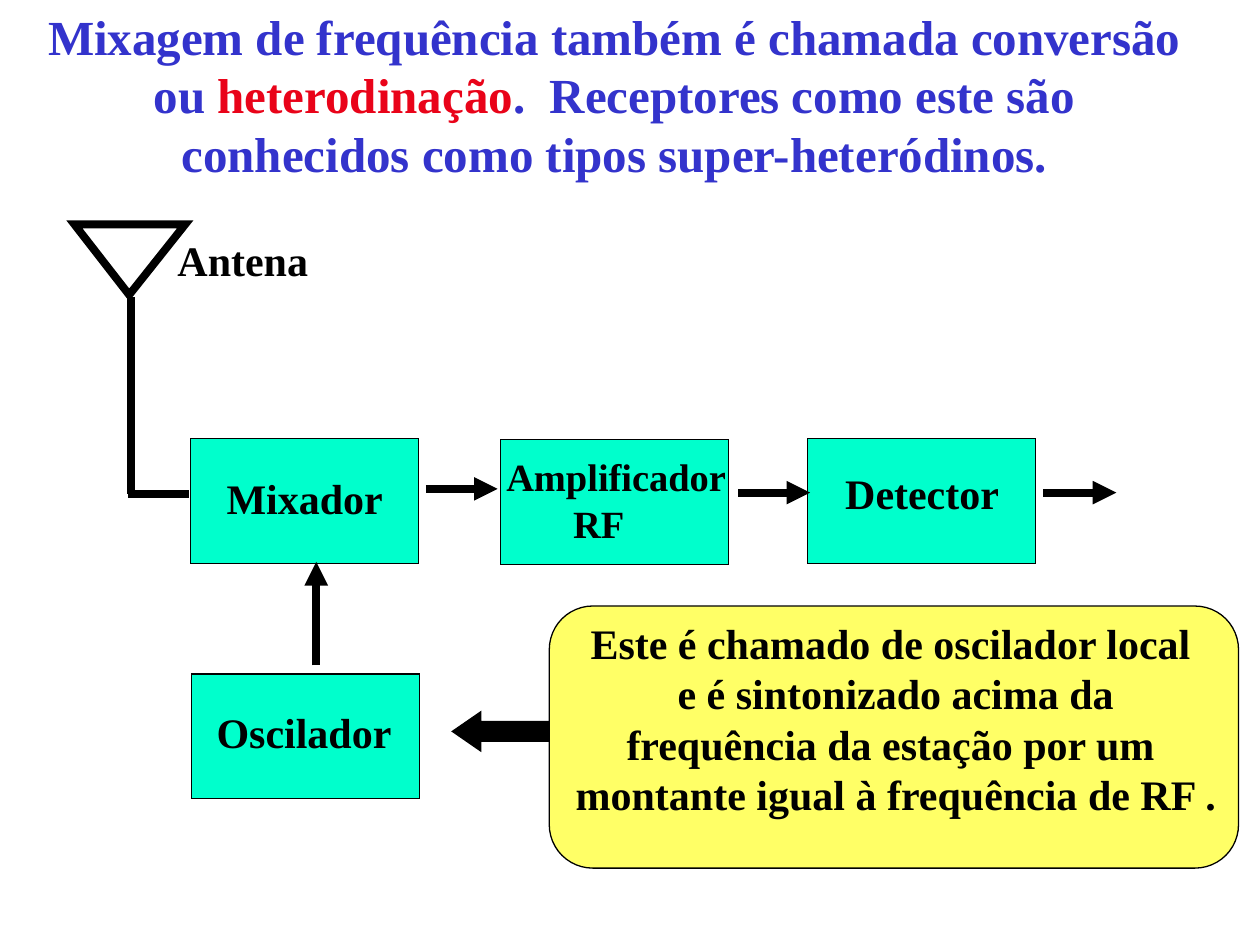
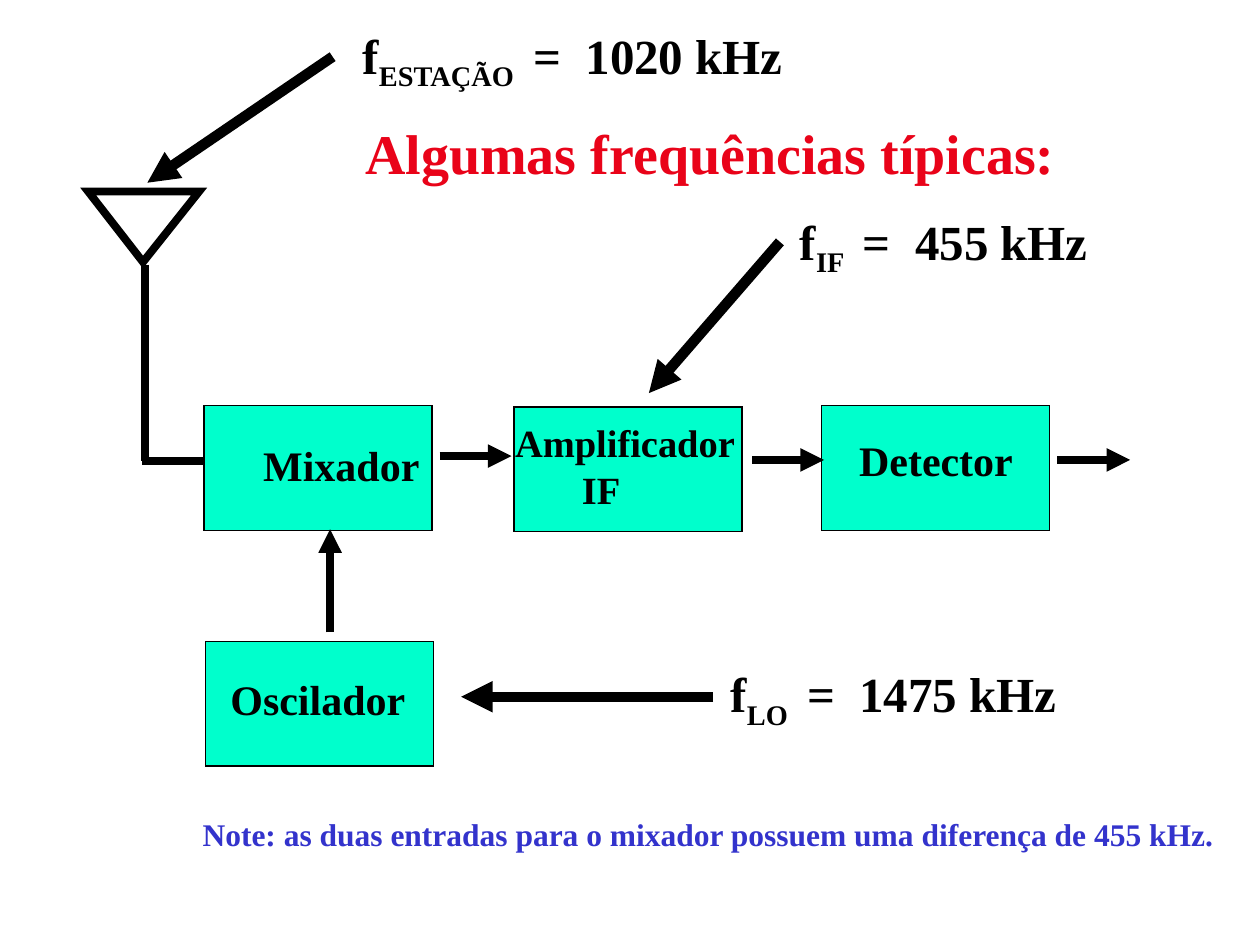
from typing import NamedTuple

import pptx
import pptx.dml.color
import pptx.enum.shapes
import pptx.enum.text
import pptx.oxml
import pptx.oxml.ns
import pptx.util

RGBColor = pptx.dml.color.RGBColor
SHAPE = pptx.enum.shapes.MSO_SHAPE
ALIGN = pptx.enum.text.PP_ALIGN

# Shared style
BLACK = RGBColor(0x00, 0x00, 0x00)
BLUE = RGBColor(0x33, 0x33, 0xCC)
RED = RGBColor(0xE9, 0x03, 0x19)
AQUA = RGBColor(0x00, 0xFF, 0xCC)
YELLOW = RGBColor(0xFF, 0xFF, 0x66)
FONT = "Times New Roman"
EMU_PER_PX = 9144  # 100 px to the inch
BLOCK_W, BLOCK_H = 181, 99
THIN, THICK, HEAVY = 0.75, 4.5, 6


class Run(NamedTuple):
    text: str
    color: RGBColor = BLACK
    sub: bool = False


class Label(NamedTuple):
    x: int
    y: int
    w: int
    h: int
    lines: list[list[Run]]
    size: int = 24
    align: ALIGN = ALIGN.LEFT
    indents: tuple[int, ...] = ()


class Line(NamedTuple):
    x1: int
    y1: int
    x2: int
    y2: int
    arrow: bool = True
    width: float = THICK


class Stage(NamedTuple):
    """Layout of the receiver diagram on one slide."""
    dx: int
    dy: int
    mixer_x: int
    amp_x: int
    amp_y: int
    amp_kind: str


# Receiver parts, before the stage offset
BLOCKS = [(397, 349), (151, 348), (152, 535), (641, 348)]
WIRES = [
    Line(104, 236, 104, 392, arrow=False),
    Line(102, 392, 150, 392, arrow=False),
    Line(251, 528, 251, 446),
    Line(338, 388, 395, 388),
    Line(828, 391, 886, 391),
    Line(586, 391, 643, 391),
]


def px(n: int) -> int:
    return n * EMU_PER_PX


def add_child(parent, tag: str, **attrs: str) -> None:
    parent.append(parent.makeelement(pptx.oxml.ns.qn(tag), attrs))


def add_label(s, label: Label) -> None:
    box = s.shapes.add_textbox(*map(px, label[:4]))
    tf = box.text_frame
    tf.word_wrap = False
    tf.auto_size = pptx.enum.text.MSO_AUTO_SIZE.SHAPE_TO_FIT_TEXT
    for i, runs in enumerate(label.lines):
        p = tf.paragraphs[0] if i == 0 else tf.add_paragraph()
        p.alignment = label.align
        if i < len(label.indents):
            p._p.get_or_add_pPr().set("marL", str(px(label.indents[i])))
        for run in runs:
            r = p.add_run()
            r.text = run.text
            r.font.name = FONT
            r.font.size = pptx.util.Pt(label.size)
            r.font.bold = True
            r.font.color.rgb = run.color
            if run.sub:
                r._r.get_or_add_rPr().set("baseline", "-25000")


def add_block(s, kind: SHAPE, x: int, y: int, w: int, h: int,
              fill: RGBColor | None = AQUA, width: float = THIN,
              adj: tuple[float, ...] = ()):
    sp = s.shapes.add_shape(kind, px(x), px(y), px(w), px(h))
    sp.shadow.inherit = False
    for i, value in enumerate(adj):
        sp.adjustments[i] = value
    if fill is None:
        sp.fill.background()
    else:
        sp.fill.solid()
        sp.fill.fore_color.rgb = fill
    sp.line.color.rgb = BLACK
    sp.line.width = pptx.util.Pt(width)
    add_child(sp.line._get_or_add_ln(), "a:miter", lim="800000")
    return sp


def add_line(s, line: Line, dx: int = 0, dy: int = 0) -> None:
    cx = s.shapes.add_connector(
        pptx.enum.shapes.MSO_CONNECTOR.STRAIGHT,
        px(line.x1 + dx), px(line.y1 + dy), px(line.x2 + dx), px(line.y2 + dy))
    cx.line.color.rgb = BLACK
    cx.line.width = pptx.util.Pt(line.width)
    if line.arrow:
        add_child(cx.line._get_or_add_ln(), "a:tailEnd", type="triangle")
    add_child(cx._element.spPr, "a:effectLst")


def add_receiver(s, st: Stage) -> None:
    dx, dy = st.dx, st.dy
    for x, y in BLOCKS:
        add_block(s, SHAPE.RECTANGLE, x + dx, y + dy, BLOCK_W, BLOCK_H)

    # Antenna points down
    antenna = add_block(s, SHAPE.ISOSCELES_TRIANGLE, 59 + dx, 178 + dy, 88, 56,
                        fill=None, width=THICK, adj=(0.506,))
    antenna.rotation = 180
    for wire in WIRES:
        add_line(s, wire, dx, dy)

    # Block names, in boxes slightly wider than their text
    add_label(s, Label(st.amp_x, st.amp_y, 200, 84,
                       [[Run("Amplificador")], [Run(st.amp_kind)]],
                       size=22, indents=(0, 53)))
    for text, x, y, w in [("Oscilador", 162 + dx, 556, 162),
                          ("Mixador", st.mixer_x, 370, 148),
                          ("Detector", 661 + dx, 366, 146)]:
        add_label(s, Label(x, y + dy, w, 50, [[Run(text)]]))


def build_mixing(s) -> None:
    add_label(s, Label(28, 0, 919, 150, [
        [Run("Mixagem de frequência também é chamada conversão", BLUE)],
        [Run("ou ", BLUE), Run("heterodinação", RED),
         Run(".  Receptores como este são", BLUE)],
        [Run("conhecidos como tipos super-heteródinos.", BLUE)],
    ], size=28, align=ALIGN.CENTER))
    add_receiver(s, Stage(0, 0, 170, 392, 355, "RF"))
    add_label(s, Label(131, 181, 128, 50, [[Run("Antena")]]))

    # Local oscillator callout
    add_block(s, SHAPE.LEFT_ARROW, 359, 565, 88, 31, BLACK, adj=(0.5, 0.725))
    add_block(s, SHAPE.ROUNDED_RECTANGLE, 436, 481, 547, 208, YELLOW,
              adj=(0.166,))
    add_label(s, Label(446, 485, 530, 170, [
        [Run("Este é chamado de oscilador local ")],
        [Run("e é sintonizado acima da")],
        [Run("frequência da estação por um ")],
        [Run("montante igual à frequência de RF .")],
    ], align=ALIGN.CENTER))


def build_frequencies(s) -> None:
    add_receiver(s, Stage(11, -26, 199, 399, 328, "IF"))

    # Typical frequencies and their pointers
    for name, value, x, y, w in [("ESTAÇÃO", 1020, 278, 15, 355),
                                 ("LO", 1475, 570, 522, 279),
                                 ("IF", 455, 625, 163, 249)]:
        add_label(s, Label(x, y, w, 63, [[
            Run("f"), Run(f"{name} ", sub=True), Run(f" =  {value} kHz"),
        ]], size=28))
    for ends in [(264, 45, 117, 145), (619, 192, 515, 312),
                 (566, 553, 366, 553)]:
        add_line(s, Line(*ends, width=HEAVY))

    # Heading and note
    add_label(s, Label(280, 89, 569, 64,
                       [[Run("Algumas frequências típicas:", RED)]], size=32))
    add_label(s, Label(151, 642, 823, 40, [[
        Run("Note: as duas entradas para o mixador possuem uma diferença "
            "de 455 kHz.", BLUE)]], size=18))


def main() -> None:
    prs = pptx.Presentation()
    prs.slide_width, prs.slide_height = px(1000), px(750)
    for build in (build_mixing, build_frequencies):
        build(prs.slides.add_slide(prs.slide_layouts[6]))
    prs.save("out.pptx")


if __name__ == "__main__":
    main()
